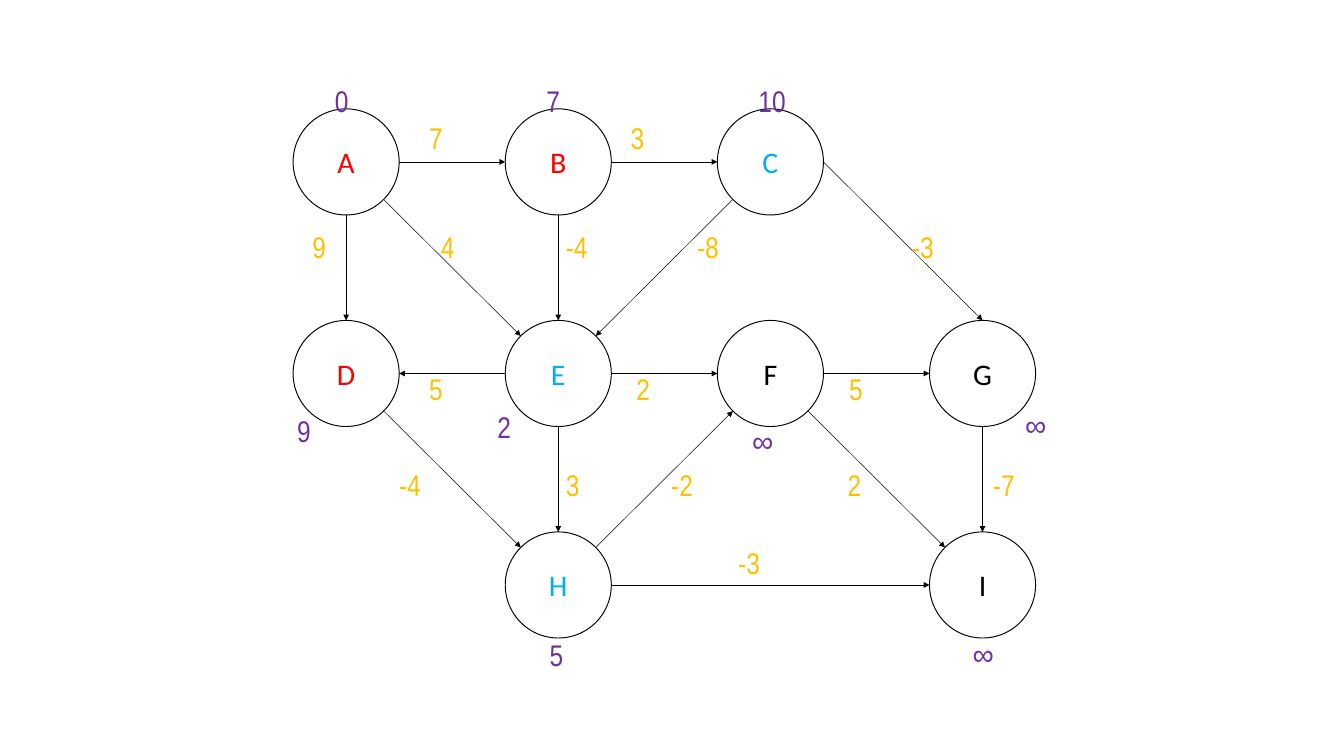
"""Build a slide of a weighted directed graph with tentative distances."""
import math

from lxml import etree
from pptx import Presentation
from pptx import util as u
from pptx.dml.color import RGBColor
from pptx.enum import shapes, text
from pptx.oxml.ns import qn

BLACK = RGBColor(0x00, 0x00, 0x00)
WHITE = RGBColor(0xFF, 0xFF, 0xFF)
RED = RGBColor(0xFF, 0x00, 0x00)
BLUE = RGBColor(0x00, 0xB0, 0xF0)
PURPLE = RGBColor(0x70, 0x30, 0xA0)
GOLD = RGBColor(0xFF, 0xC0, 0x00)

DIAMETER = 1.52
LEFT, TOP = 4.2, 1.56
COLUMN_PITCH, ROW_PITCH = 3.04, 3.03
FONT_SIZE = u.Pt(30.8)
LABEL_WIDTHS = {"10": 0.59, "∞": 0.51}
SITES = ["top", "top left", "left", "bottom left",
         "bottom", "bottom right", "right", "top right"]

NODES = {
    "A": (0, 0, RED, "0", 4.7, 1.14),
    "B": (1, 0, RED, "7", 7.73, 1.14),
    "C": (2, 0, BLUE, "10", 10.77, 1.14),
    "D": (0, 1, RED, "9", 4.16, 5.86),
    "E": (1, 1, BLUE, "2", 7.03, 5.81),
    "F": (2, 1, BLACK, "∞", 10.68, 6),
    "G": (3, 1, BLACK, "∞", 14.59, 5.77),
    "H": (1, 2, BLUE, "5", 7.78, 9.07),
    "I": (3, 2, BLACK, "∞", 13.84, 9.05),
}

EDGES = [
    ("A", "right", "B", "left", "7", 6.05, 1.67),
    ("B", "right", "C", "left", "3", 8.94, 1.67),
    ("A", "bottom", "D", "top", "9", 4.38, 3.23),
    ("A", "bottom right", "E", "top left", "4", 6.22, 3.23),
    ("B", "bottom", "E", "top", "-4", 8.01, 3.23),
    ("C", "bottom left", "E", "top right", "-8", 9.89, 3.23),
    ("C", "right", "G", "top", "-3", 12.97, 3.23),
    ("E", "left", "D", "right", "5", 6.05, 5.26),
    ("E", "right", "F", "left", "2", 9.02, 5.26),
    ("F", "right", "G", "left", "5", 12.07, 5.26),
    ("D", "bottom right", "H", "top left", "-4", 5.62, 6.64),
    ("E", "bottom", "H", "top", "3", 8.01, 6.64),
    ("H", "top right", "F", "bottom left", "-2", 9.52, 6.64),
    ("F", "bottom right", "I", "top left", "2", 12.05, 6.64),
    ("G", "bottom", "I", "top", "-7", 14.13, 6.64),
    ("H", "right", "I", "left", "-3", 10.48, 7.76),
]


def set_format(target, values):
    """Set each named attribute of the target."""
    for name, value in values.items():
        setattr(target, name, value)


def write(shape, content, font_name, colour, alignment):
    """Write one formatted line of text into a shape."""
    paragraph = shape.text_frame.paragraphs[0]
    paragraph.alignment = alignment
    run = paragraph.add_run()
    run.text = content
    set_format(run.font, {"name": font_name, "size": FONT_SIZE})
    run.font.color.rgb = colour


def add_node(slide, name, column, row, colour):
    """Add a lettered circle at a grid position."""
    circle = slide.shapes.add_shape(
        shapes.MSO_SHAPE.OVAL, u.Inches(LEFT + column * COLUMN_PITCH),
        u.Inches(TOP + row * ROW_PITCH), u.Inches(DIAMETER), u.Inches(DIAMETER))
    circle.shadow.inherit = False
    circle.fill.solid()
    circle.fill.fore_color.rgb = WHITE
    circle.line.color.rgb = BLACK
    circle.line.width = u.Pt(1)
    set_format(circle.text_frame, {
        "margin_left": 0, "margin_right": 0, "margin_top": 0,
        "margin_bottom": 0, "vertical_anchor": text.MSO_ANCHOR.MIDDLE})
    write(circle, name, "Calibri", colour, text.PP_ALIGN.CENTER)
    return circle


def add_label(slide, content, left, top, colour):
    """Add a number beside a node or an edge."""
    width = LABEL_WIDTHS.get(content, 0.28 + 0.12 * len(content))
    label = slide.shapes.add_textbox(
        u.Inches(left), u.Inches(top), u.Inches(width), u.Inches(0.62))
    set_format(label.text_frame, {
        "word_wrap": False, "auto_size": text.MSO_AUTO_SIZE.SHAPE_TO_FIT_TEXT})
    write(label, content, "Arial Narrow", colour, text.PP_ALIGN.LEFT)


def site_point(circle, site):
    """Return the point of a circle's rim at a named site."""
    angle = math.radians(90 + 45 * SITES.index(site))
    radius = circle.width / 2
    return (round(circle.left + radius + radius * math.cos(angle)),
            round(circle.top + radius - radius * math.sin(angle)))


def add_edge(slide, start, start_site, end, end_site):
    """Add an arrow between the rims of two circles."""
    arrow = slide.shapes.add_connector(
        shapes.MSO_CONNECTOR.STRAIGHT,
        *site_point(start, start_site), *site_point(end, end_site))
    arrow.line.color.rgb = BLACK
    arrow.line.width = u.Pt(0.5)
    etree.SubElement(arrow.get_or_add_ln(), qn("a:tailEnd"), type="triangle")
    etree.SubElement(arrow.element.spPr, qn("a:effectLst"))
    glue = arrow.element.find(".//" + qn("p:cNvCxnSpPr"))
    for tag, circle, site in (("a:stCxn", start, start_site),
                              ("a:endCxn", end, end_site)):
        etree.SubElement(glue, qn(tag), id=str(circle.shape_id),
                         idx=str(SITES.index(site)))


def main():
    """Build and save the slide."""
    presentation = Presentation()
    set_format(presentation, {
        "slide_width": u.Inches(19.26), "slide_height": u.Inches(10.83)})
    slide = presentation.slides.add_slide(presentation.slide_layouts[6])
    circles = {name: add_node(slide, name, *place)
               for name, (*place, _, _, _) in NODES.items()}
    for *_, distance, left, top in NODES.values():
        add_label(slide, distance, left, top, PURPLE)
    for start, start_site, end, end_site, *_ in EDGES:
        add_edge(slide, circles[start], start_site, circles[end], end_site)
    for *_, weight, left, top in EDGES:
        add_label(slide, weight, left, top, GOLD)
    presentation.save("out.pptx")


if __name__ == "__main__":
    main()
